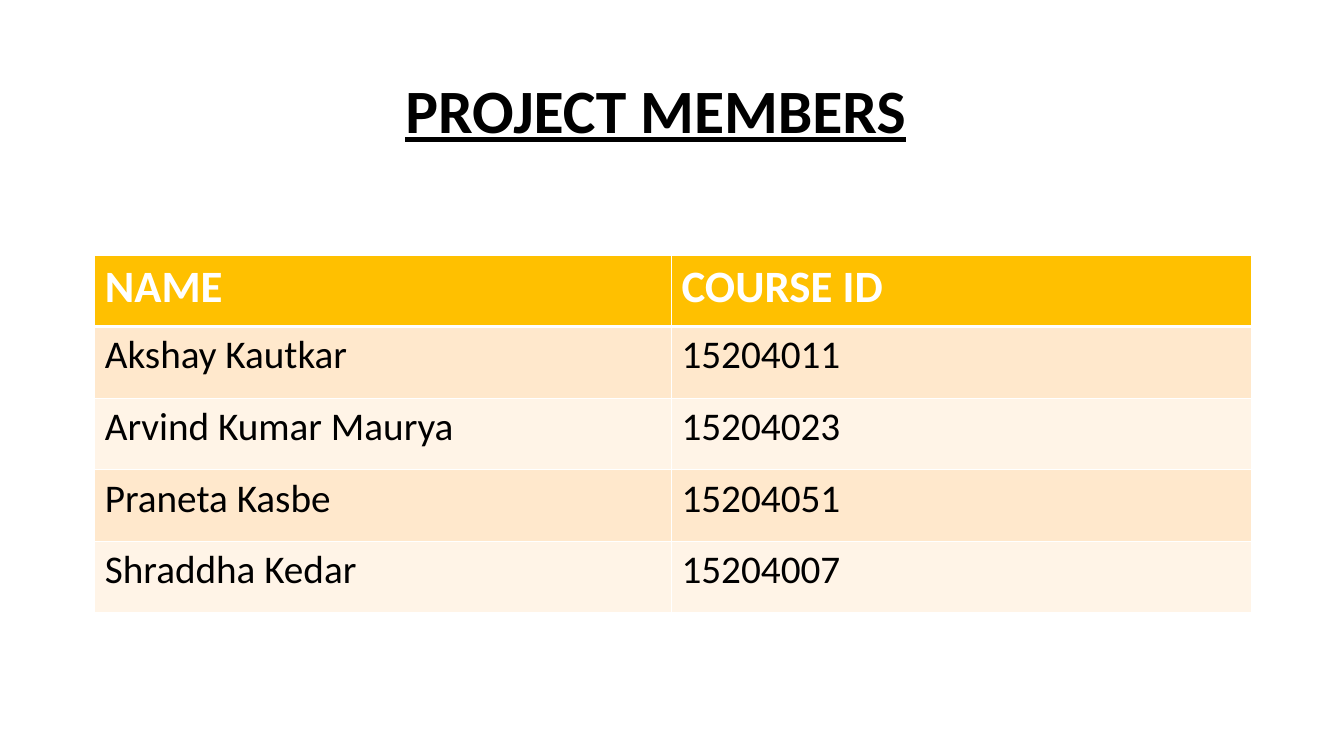
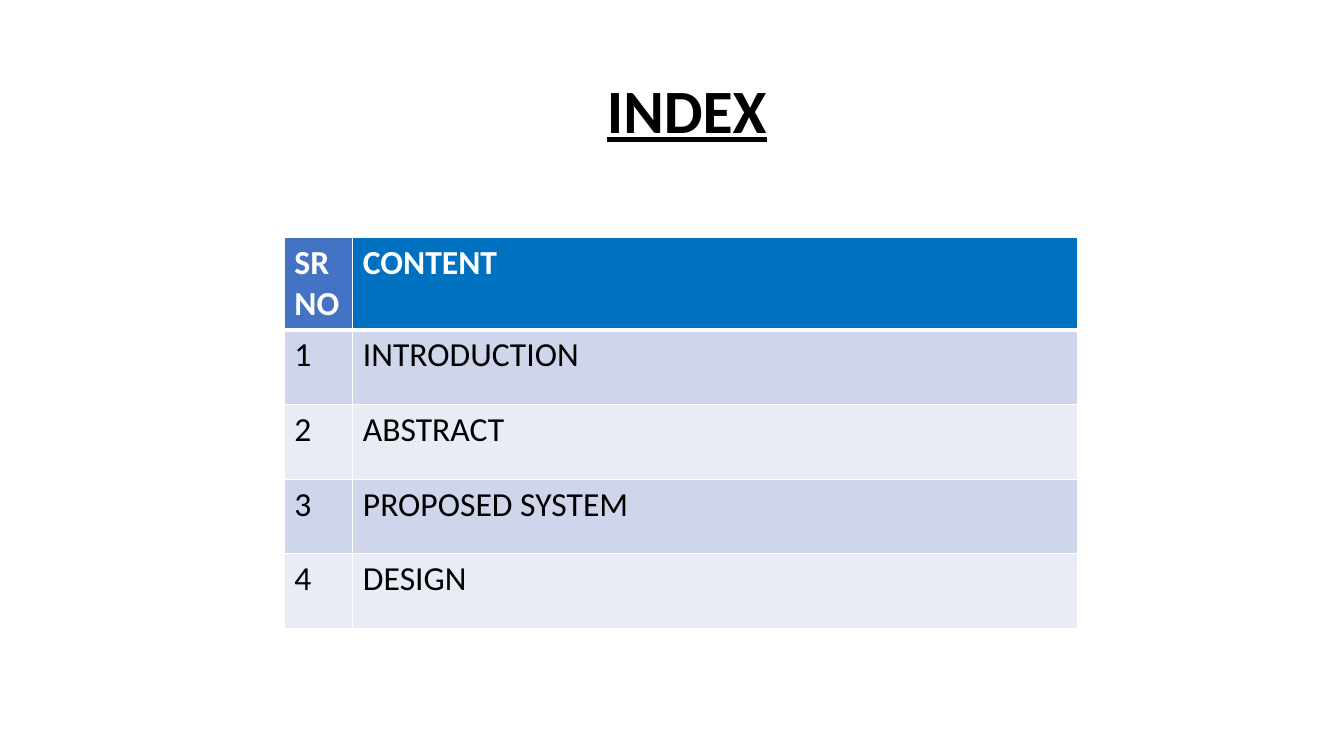
import pptx
import pptx.util
import pptx.dml.color
import pptx.enum.text
import pptx.oxml
import pptx.oxml.ns
from dataclasses import dataclass

Inches = pptx.util.Inches
Pt = pptx.util.Pt
RGB = pptx.dml.color.RGBColor.from_string


@dataclass(frozen=True)
class Theme:
    font: str = "Calibri"
    black: str = "000000"
    white: str = "FFFFFF"
    title: int = 44
    thin: int = 1
    thick: int = 3


theme = Theme()


def style(par, size, color, bold):
    font = par.font
    font.name = theme.font
    font.size = Pt(size)
    font.color.rgb = RGB(color)
    font.bold = bold


def border(cell, row):
    """Draw white cell edges, with a thick one below the header row."""
    top = theme.thick if row == 1 else theme.thin
    base = theme.thick if row == 0 else theme.thin
    sides = {"lnL": theme.thin, "lnR": theme.thin, "lnT": top, "lnB": base}
    props = cell._tc.get_or_add_tcPr()
    for spot, (tag, width) in enumerate(sides.items()):
        line = pptx.oxml.parse_xml(
            f'<a:{tag} {pptx.oxml.ns.nsdecls("a")} w="{Pt(width)}"><a:solidFill>'
            f'<a:srgbClr val="{theme.white}"/></a:solidFill></a:{tag}>')
        props.insert(spot, line)


pages = [
    dict(
        title="PROJECT MEMBERS", indent=3,
        left=0.94, top=2.53, cols=[5.72, 5.75], head_tall=0.71, row_tall=0.71,
        head_size=32, body_size=28,
        head_fill=["FFC000", "FFC000"], bands=["FFE8CC", "FFF4E7"],
        rows=[
            ("NAME", "COURSE ID"),
            ("Akshay Kautkar", "15204011"),
            ("Arvind Kumar Maurya", "15204023"),
            ("Praneta Kasbe", "15204051"),
            ("Shraddha Kedar", "15204007"),
        ],
    ),
    dict(
        title="INDEX", indent=5,
        left=2.82, top=2.36, cols=[0.68, 7.19], head_tall=0.91, row_tall=0.74,
        head_size=24, body_size=24,
        head_fill=["4472C4", "0070C0"], bands=["CFD5EA", "E9EBF5"],
        rows=[
            ("SR NO", "CONTENT"),
            ("1", "INTRODUCTION"),
            ("2", "ABSTRACT"),
            ("3", "PROPOSED SYSTEM"),
            ("4", "DESIGN"),
        ],
    ),
]

deck = pptx.Presentation()
deck.slide_width = Inches(13.33)
deck.slide_height = Inches(7.5)
layout = deck.slide_layouts.get_by_name("Title Only")

for page in pages:
    slide = deck.slides.add_slide(layout)

    title = slide.shapes.title
    title.left, title.top = Inches(0.92), Inches(0.4)
    title.width, title.height = Inches(11.5), Inches(1.45)
    frame = title.text_frame
    frame.text = page["title"]
    frame.margin_left = Inches(0.1 + page["indent"])
    frame.vertical_anchor = pptx.enum.text.MSO_ANCHOR.MIDDLE
    par = frame.paragraphs[0]
    par.alignment = pptx.enum.text.PP_ALIGN.LEFT
    par.line_spacing = 0.9
    style(par, theme.title, theme.black, True)
    par.font.underline = True

    rows, cols = page["rows"], page["cols"]
    tall = page["head_tall"] + page["row_tall"] * (len(rows) - 1)
    table = slide.shapes.add_table(
        len(rows), len(cols), Inches(page["left"]), Inches(page["top"]),
        Inches(sum(cols)), Inches(tall)).table
    for col, width in enumerate(cols):
        table.columns[col].width = Inches(width)

    for row, texts in enumerate(rows):
        head = row == 0
        table.rows[row].height = Inches(page["head_tall" if head else "row_tall"])
        size = page["head_size" if head else "body_size"]
        color = theme.white if head else theme.black
        for col, text in enumerate(texts):
            cell = table.cell(row, col)
            cell.text = text
            style(cell.text_frame.paragraphs[0], size, color, head)
            fill = page["head_fill"][col] if head else page["bands"][(row - 1) % 2]
            cell.fill.solid()
            cell.fill.fore_color.rgb = RGB(fill)
            border(cell, row)

deck.save("out.pptx")
